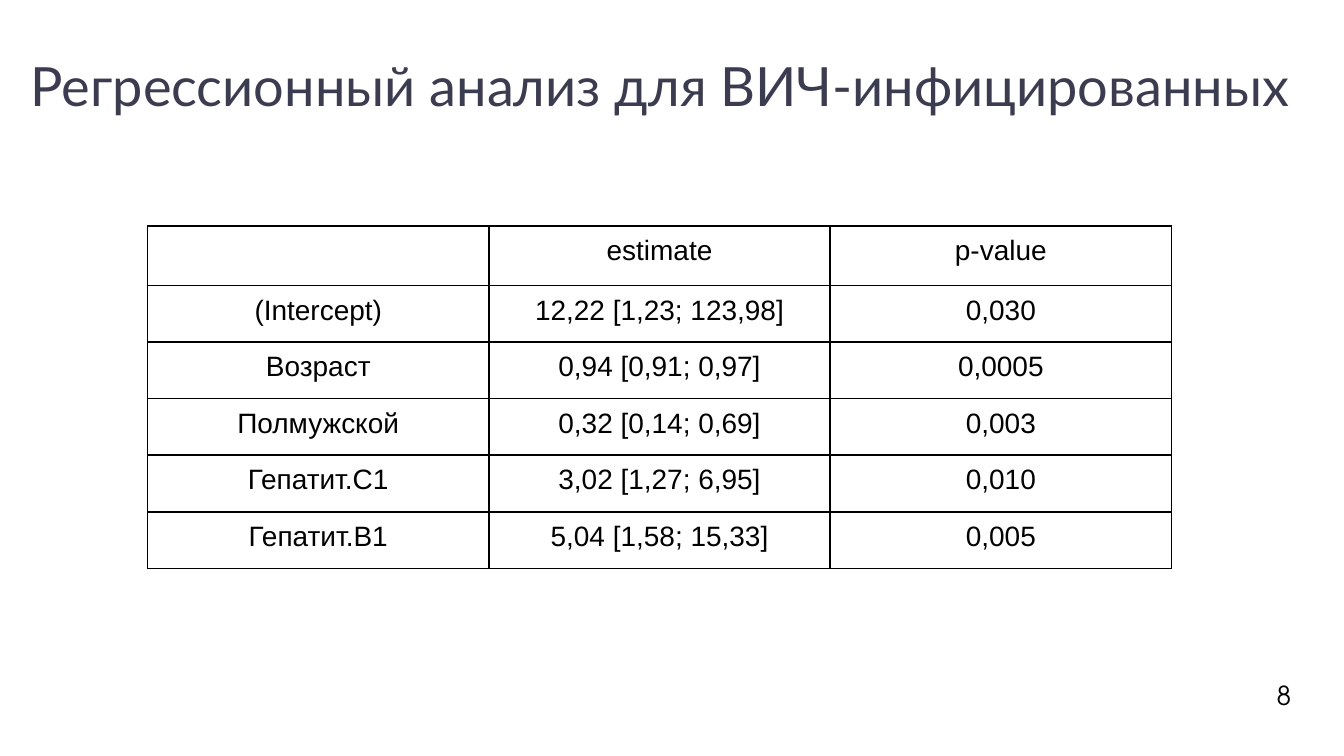
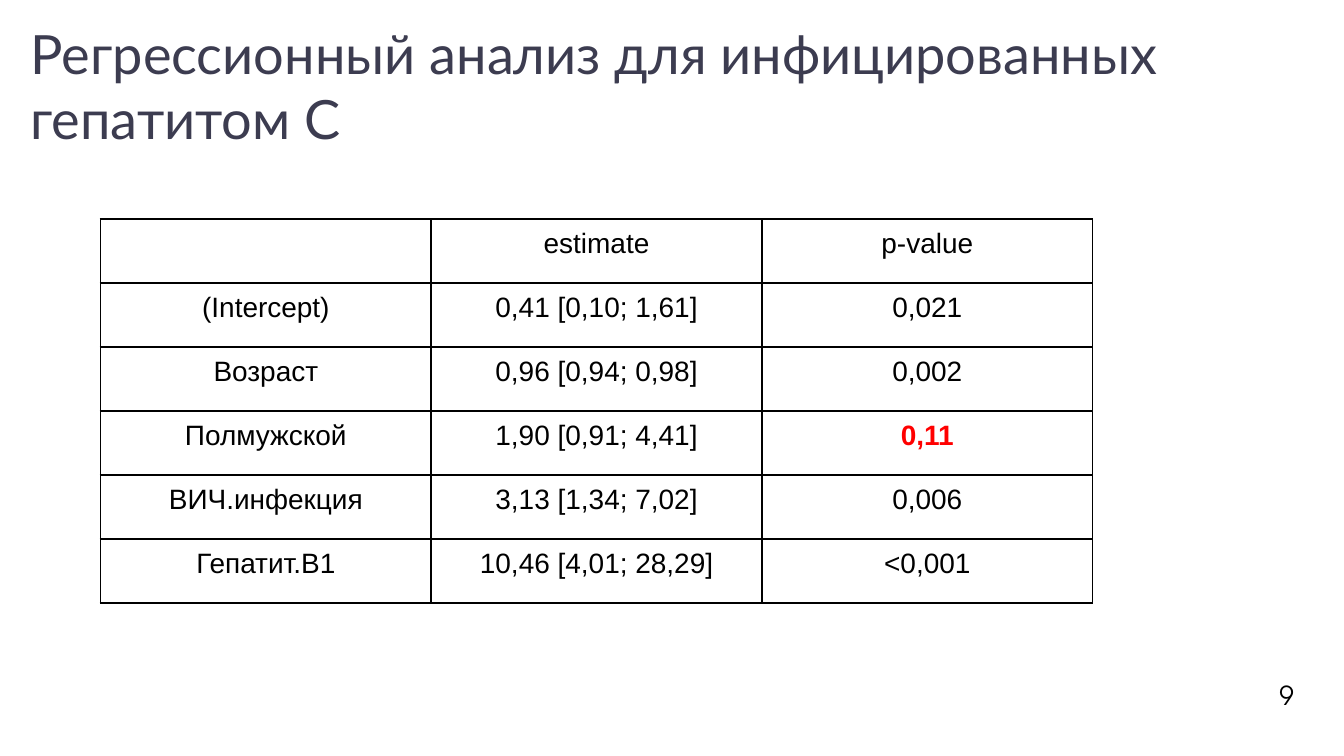
from dataclasses import dataclass

from lxml.etree import SubElement
from pptx import Presentation
from pptx.dml.color import RGBColor
from pptx.enum.text import MSO_ANCHOR, MSO_AUTO_SIZE, PP_ALIGN
from pptx.oxml.ns import qn
from pptx.util import Cm, Pt

HEADER = ("", "estimate", "p-value")
SLIDES = [
    {
        "title": "Регрессионный анализ для ВИЧ-инфицированных",
        "title_width": 24.1,
        "number": "8",
        "number_box": (23.88, 12.6, 0.76, 1.12),
        "table_origin": (2.79, 4.27),
        "cell_size": (6.45, 1.07),
        "rows": [
            ("(Intercept)", "12,22 [1,23; 123,98]", "0,030"),
            ("Возраст", "0,94 [0,91; 0,97]", "0,0005"),
            ("Полмужской", "0,32 [0,14; 0,69]", "0,003"),
            ("Гепатит.С1", "3,02 [1,27; 6,95]", "0,010"),
            ("Гепатит.В1", "5,04 [1,58; 15,33]", "0,005"),
        ],
        "highlights": (),
    },
    {
        "title": "Регрессионный анализ для инфицированных гепатитом С",
        "title_width": 21.44,
        "number": "9",
        "number_box": (23.93, 12.6, 1.47, 1.12),
        "table_origin": (1.9, 4.14),
        "cell_size": (6.25, 1.21),
        "rows": [
            ("(Intercept)", "0,41 [0,10; 1,61]", "0,021"),
            ("Возраст", "0,96 [0,94; 0,98]", "0,002"),
            ("Полмужской", "1,90 [0,91; 4,41]", "0,11"),
            ("ВИЧ.инфекция", "3,13 [1,34; 7,02]", "0,006"),
            ("Гепатит.В1", "10,46 [4,01; 28,29]", "<0,001"),
        ],
        "highlights": ("0,11",),
    },
]


@dataclass(frozen=True)
class Theme:
    background: str = "FFFFFF"
    title_color: str = "3C3C50"
    text_color: str = "000000"
    highlight_color: str = "FF0000"
    title_font: str = "Lato"
    number_font: str = "TeX Gyre Adventor"
    table_font: str = "Arial"
    title_size: float = 29
    number_size: float = 14
    table_size: float = 15
    border_width: float = 1


THEME = Theme()


def write_text(frame, text, *, font, size, color, bold=False, align=PP_ALIGN.LEFT):
    paragraph = frame.paragraphs[0]
    paragraph.alignment = align
    run = paragraph.add_run()
    run.text = text
    run.font.name = font
    run.font.size = Pt(size)
    run.font.bold = bold
    run.font.color.rgb = RGBColor.from_string(color)


def set_margins(target, margin):
    target.margin_left = target.margin_right = Cm(margin)
    target.margin_top = target.margin_bottom = Cm(margin)


def add_text_box(slide, box, text, *, margin, anchor=MSO_ANCHOR.TOP, grow=False, **style):
    frame = slide.shapes.add_textbox(*map(Cm, box)).text_frame
    frame.word_wrap = True
    frame.vertical_anchor = anchor
    frame.auto_size = MSO_AUTO_SIZE.SHAPE_TO_FIT_TEXT if grow else MSO_AUTO_SIZE.NONE
    set_margins(frame, margin)
    write_text(frame, text, **style)


def add_borders(cell):
    properties = cell._tc.get_or_add_tcPr()
    for side in ("a:lnL", "a:lnR", "a:lnT", "a:lnB"):
        line = SubElement(properties, qn(side), w=str(Pt(THEME.border_width)))
        fill = SubElement(line, qn("a:solidFill"))
        SubElement(fill, qn("a:srgbClr"), val=THEME.text_color)


def add_results_table(slide, content):
    rows = [HEADER, *content["rows"]]
    left, top = content["table_origin"]
    width, height = content["cell_size"]
    table = slide.shapes.add_table(
        len(rows), len(HEADER), Cm(left), Cm(top),
        Cm(width * len(HEADER)), Cm(height * len(rows)),
    ).table
    table.first_row = table.horz_banding = False
    for column in table.columns:
        column.width = Cm(width)
    for row, values in zip(table.rows, rows):
        row.height = Cm(height)
        for cell, value in zip(row.cells, values):
            set_margins(cell, 0.18)
            add_borders(cell)
            cell.fill.background()
            if value:
                highlighted = value in content["highlights"]
                write_text(
                    cell.text_frame, value, font=THEME.table_font, size=THEME.table_size,
                    color=THEME.highlight_color if highlighted else THEME.text_color,
                    bold=highlighted, align=PP_ALIGN.CENTER,
                )


def add_results_slide(presentation, content):
    slide = presentation.slides.add_slide(presentation.slide_layouts[6])
    slide.background.fill.solid()
    slide.background.fill.fore_color.rgb = RGBColor.from_string(THEME.background)
    add_text_box(
        slide, (0.53, 0.3, content["title_width"], 2.62), content["title"],
        margin=0.05, anchor=MSO_ANCHOR.MIDDLE,
        font=THEME.title_font, size=THEME.title_size, color=THEME.title_color,
    )
    add_text_box(
        slide, content["number_box"], content["number"], margin=0.25, grow=True,
        font=THEME.number_font, size=THEME.number_size, color=THEME.text_color,
    )
    add_results_table(slide, content)


def main():
    presentation = Presentation()
    presentation.slide_width = Cm(25.4)
    presentation.slide_height = Cm(14.29)
    for content in SLIDES:
        add_results_slide(presentation, content)
    presentation.save("out.pptx")


if __name__ == "__main__":
    main()
